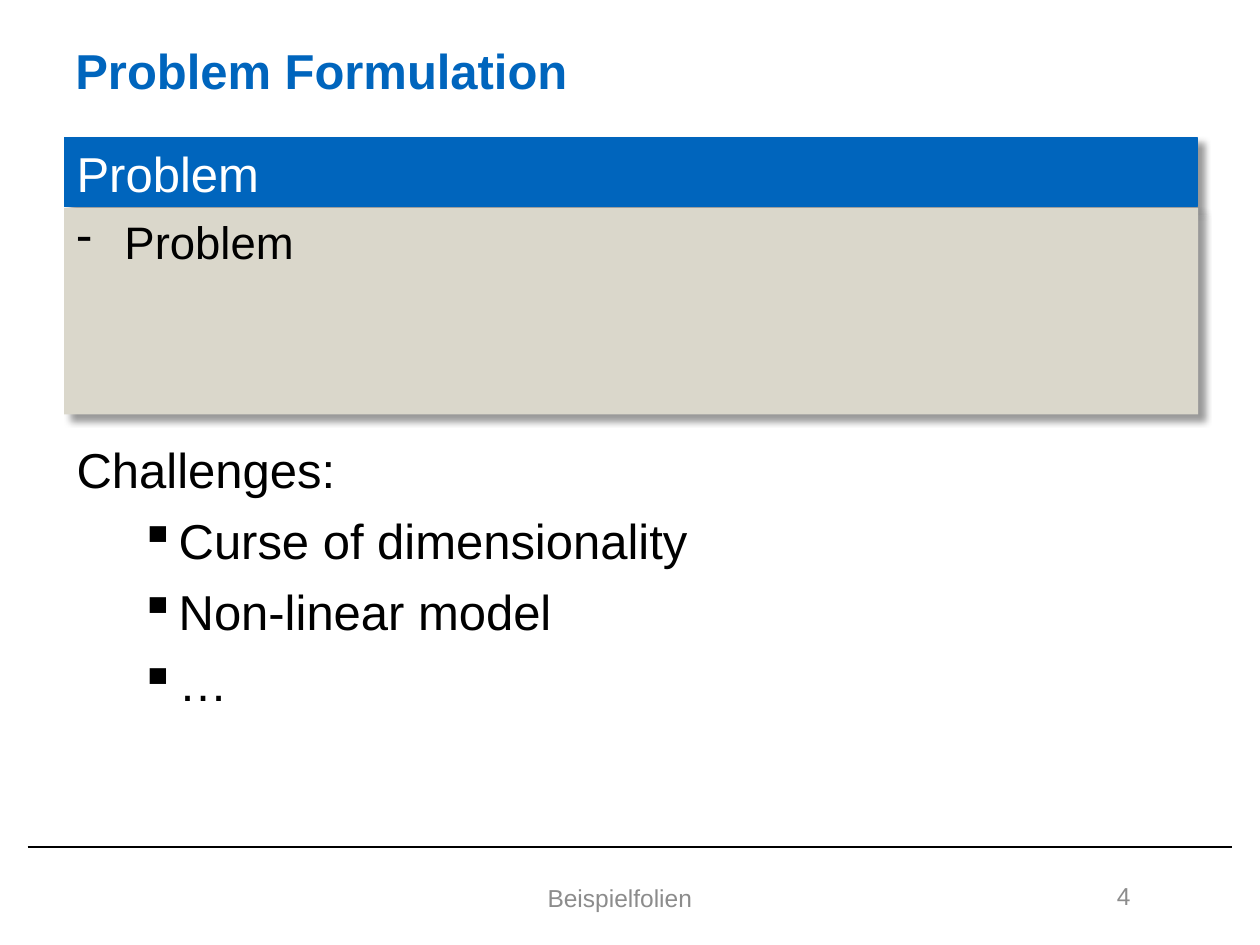
import pptx
import pptx.util
import pptx.dml.color
import pptx.enum.shapes
import pptx.enum.text
import pptx.oxml
import pptx.oxml.ns
from dataclasses import dataclass

Inches = pptx.util.Inches
Pt = pptx.util.Pt
Color = pptx.dml.color.RGBColor.from_string
Align = pptx.enum.text.PP_ALIGN
Anchor = pptx.enum.text.MSO_ANCHOR
A_NS = pptx.oxml.ns.nsdecls("a")


@dataclass(frozen=True)
class Theme:
    face: str = "Arial"
    blue: str = "0065BD"
    sand: str = "DAD7CB"
    gray: str = "8C8C8C"
    black: str = "000000"
    white: str = "FFFFFF"
    head: int = 28
    body: int = 26
    foot: int = 14
    gap: int = 7


class Deck:
    def __init__(self, theme, slide):
        self.theme = theme
        self.slide = slide

    def fill_text(self, shape, items, size, color, anchor=Anchor.TOP,
                  align=Align.LEFT, bold=False):
        frame = shape.text_frame
        frame.word_wrap = True
        frame.vertical_anchor = anchor
        looks = {"name": self.theme.face, "size": Pt(size), "bold": bold}
        for i, (text, mark, left, hang) in enumerate(items):
            para = frame.add_paragraph() if i else frame.paragraphs[0]
            para.alignment = align
            para.space_before = Pt(self.theme.gap if i else 0)
            if mark:
                props = para._p.get_or_add_pPr()
                props.set("marL", str(Inches(left)))
                props.set("indent", str(-Inches(hang)))
                props.append(pptx.oxml.parse_xml(f'<a:buChar {A_NS} char="{mark}"/>'))
            run = para.add_run()
            run.text = text
            for key, value in looks.items():
                setattr(run.font, key, value)
            run.font.color.rgb = Color(color)

    def text(self, box, items, size, color, **form):
        shape = self.slide.shapes.add_textbox(*map(Inches, box))
        self.fill_text(shape, items, size, color, **form)

    def panel(self, box, fill, items, size, color, edge=None):
        shape = self.slide.shapes.add_shape(
            pptx.enum.shapes.MSO_SHAPE.RECTANGLE, *map(Inches, box))
        shape.fill.solid()
        shape.fill.fore_color.rgb = Color(fill)
        if edge:
            shape.line.color.rgb = Color(edge)
            shape.line.width = Pt(0.75)
        else:
            shape.line.fill.background()
        shape._element.spPr.append(pptx.oxml.parse_xml(
            f'<a:effectLst {A_NS}><a:outerShdw blurRad="{Pt(4)}" dist="{Pt(5)}" '
            f'dir="2700000" algn="tl" rotWithShape="0"><a:srgbClr val="{self.theme.black}">'
            '<a:alpha val="40000"/></a:srgbClr></a:outerShdw></a:effectLst>'))
        self.fill_text(shape, items, size, color)

    def rule(self, left, right, top):
        line = self.slide.shapes.add_connector(
            pptx.enum.shapes.MSO_CONNECTOR.STRAIGHT,
            *map(Inches, (left, top, right, top)))
        line.line.color.rgb = Color(self.theme.black)
        line.line.width = Pt(1)
        line._element.spPr.append(pptx.oxml.parse_xml(f"<a:effectLst {A_NS}/>"))


def plain(text):
    return [(text, None, 0, 0)]


def main():
    show = pptx.Presentation()
    show.slide_width, show.slide_height = Inches(10), Inches(7.5)
    theme = Theme()
    deck = Deck(theme, show.slides.add_slide(show.slide_layouts[6]))

    deck.rule(0.22, 9.78, 6.72)
    deck.text((0.5, 0.16, 7.16, 0.79), plain("Problem Formulation"),
              theme.head, theme.blue, anchor=Anchor.MIDDLE, bold=True)
    deck.text((1.69, 6.92, 6.46, 0.41), plain("Beispielfolien"),
              theme.foot, theme.gray, anchor=Anchor.MIDDLE, align=Align.CENTER)
    deck.text((8.15, 6.91, 0.92, 0.4), plain("4"),
              theme.foot, theme.gray, anchor=Anchor.MIDDLE, align=Align.RIGHT)

    points = ["Curse of dimensionality", "Non-linear model", "…"]
    deck.text((0.51, 3.44, 8.98, 3.2),
              plain("Challenges:") + [(point, "▪", 0.81, 0.31) for point in points],
              theme.head, theme.black)
    deck.panel((0.51, 1.09, 8.99, 0.55), theme.blue, plain("Problem"),
               theme.head, theme.white, edge=theme.blue)
    deck.panel((0.51, 1.65, 9, 1.64), theme.sand, [("Problem", "-", 0.38, 0.38)],
               theme.body, theme.black)

    show.save("out.pptx")


if __name__ == "__main__":
    main()
